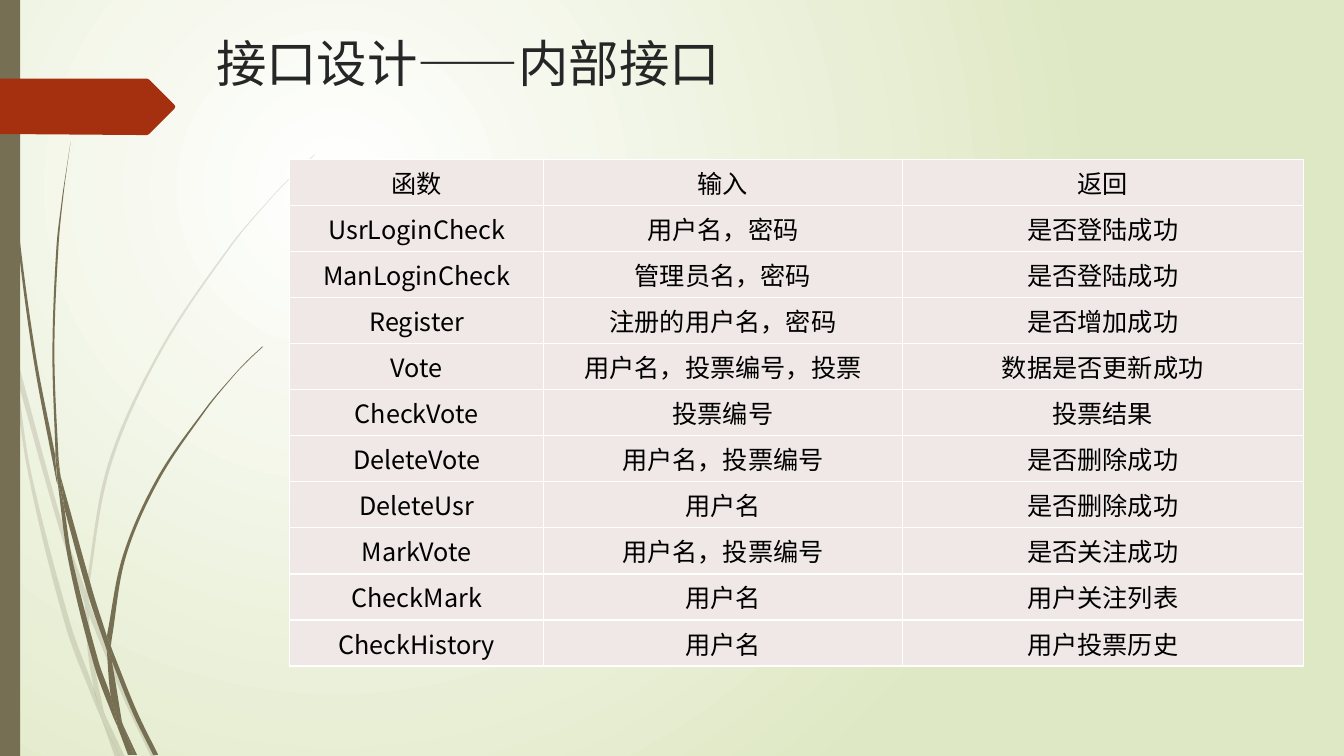
import math

from pptx import Presentation
from pptx.dml.color import RGBColor
from pptx.enum import shapes, text
from pptx.oxml import parse_xml
from pptx.oxml.ns import nsdecls, qn
from pptx.util import Pt

COLORS = {
    "glow": "FFFFFF", "edge": "DFE8C4", "grass": "766F54", "arrow": "A53010",
    "title": "262626", "cell": "F0E8E7", "border": "FFFFFF", "text": "000000",
}
HEAD_FONT, BODY_FONT = "League Spartan", "Noto Sans CJK SC"
SLIDE_W, SLIDE_H = 960, 540

# Outlines use a grid of 0.72 points. Each blade piece has two smooth edges.
GRID = 0.72
PALE_BLADES = [
    ([(11, 350), (9, 322), (0, 282)], [(0, 299), (10, 344)]),
    ([(17, 376), (58, 522), (84, 599)], [(85, 586), (62, 520), (14, 345)]),
    ([(88, 610), (123, 694), (150, 751)], [(155, 751), (127, 692), (92, 607), (88, 596)]),
    ([(105, 711), (119, 751)], [(124, 751)]),
    ([(11, 350), (28, 470), (65, 621), (92, 693), (101, 714)],
     [(99, 707), (93, 683), (70, 619), (31, 469), (17, 376)]),
    ([(84, 599), (87, 646), (93, 683), (96, 692), (105, 711)],
     [(103, 706), (91, 646), (88, 610), (88, 608)]),
    ([(88, 596), (88, 584), (110, 462), (160, 349), (229, 245), (268, 198), (290, 175),
      (312, 154)],
     [(312, 153), (289, 175), (268, 197), (228, 244), (158, 348), (107, 461), (85, 584),
      (85, 586)]),
    ([(101, 714), (114, 751)], [(119, 751)]),
    ([(85, 586), (84, 599)], [(88, 608), (88, 610), (88, 596)]),
    ([(93, 683), (99, 707), (101, 714), (119, 751)], [(105, 711), (96, 692)]),
]
DARK_BLADES = [
    ([(3, 0), (4, 48), (7, 110), (17, 233), (33, 355), (56, 477), (57, 481)],
     [(55, 457), (55, 453), (36, 355), (19, 232), (8, 109), (5, 48), (4, 0)]),
    ([(64, 505), (88, 592), (106, 645)], [(106, 633), (106, 631), (93, 590), (60, 472)]),
    ([(111, 656), (132, 708), (152, 749)], [(157, 749), (136, 706), (113, 649), (110, 641)]),
    ([(57, 477), (68, 557), (93, 659), (111, 708), (117, 722)],
     [(116, 717), (110, 691), (98, 657), (72, 556), (64, 505)]),
    ([(70, 141), (63, 193), (58, 245), (54, 349), (58, 453), (60, 472)],
     [(55, 449), (52, 349), (56, 245), (62, 193)]),
    ([(122, 719), (133, 749)], [(136, 749)]),
    ([(55, 449), (55, 453), (57, 477)], [(64, 505), (60, 472)]),
    ([(110, 641), (111, 633), (125, 552), (158, 476), (205, 406), (231, 374), (245, 359),
      (261, 344)],
     [(260, 344), (245, 358), (231, 373), (204, 405), (156, 474), (122, 551), (106, 631)]),
    ([(117, 722), (127, 749)], [(131, 749)]),
    ([(106, 645), (110, 691), (116, 706), (122, 719)], [(121, 716), (111, 656), (109, 651)]),
    ([(106, 631), (106, 645)], [(109, 651), (111, 656), (110, 641)]),
    ([(110, 691), (116, 717), (117, 722), (130, 749)], [(133, 749), (122, 719), (116, 706)]),
]
POINTER = [(173, 108), (148, 133), (146, 134), (136, 134), (0, 133), (0, 78), (136, 78),
           (146, 78), (148, 79), (173, 104), (174, 106)]

ROWS = [
    ("函数", "输入", "返回"),
    ("UsrLoginCheck", "用户名，密码", "是否登陆成功"),
    ("ManLoginCheck", "管理员名，密码", "是否登陆成功"),
    ("Register", "注册的用户名，密码", "是否增加成功"),
    ("Vote", "用户名，投票编号，投票", "数据是否更新成功"),
    ("CheckVote", "投票编号", "投票结果"),
    ("DeleteVote", "用户名，投票编号", "是否删除成功"),
    ("DeleteUsr", "用户名", "是否删除成功"),
    ("MarkVote", "用户名，投票编号", "是否关注成功"),
    ("CheckMark", "用户名", "用户关注列表"),
    ("CheckHistory", "用户名", "用户投票历史"),
]


def rgb(name):
    return RGBColor.from_string(COLORS[name])


def paint(sp, color, alpha=None):
    """Give a shape a flat fill, with no outline or shadow."""
    sp.shadow.inherit = False
    sp.fill.solid()
    sp.fill.fore_color.rgb = rgb(color)
    sp.line.fill.background()
    if alpha:
        clr = sp._element.spPr.find(".//" + qn("a:srgbClr"))
        clr.append(parse_xml(f'<a:alpha {nsdecls("a")} val="{alpha * 1000}"/>'))


def write(tf, content, size, color, font, east_asian=None, align=text.PP_ALIGN.LEFT):
    p = tf.paragraphs[0]
    p.alignment = align
    r = p.add_run()
    r.text = content
    r.font.size = Pt(size)
    r.font.name = font
    r.font.color.rgb = rgb(color)
    if east_asian:
        r.font._element.append(
            parse_xml(f'<a:ea {nsdecls("a")} typeface="{east_asian}"/>'))


def add_background(s):
    stops = "".join(
        f'<a:gs pos="{pos}"><a:srgbClr val="{COLORS[name]}"/></a:gs>'
        for pos, name in ((0, "glow"), (100000, "edge")))
    s._element.cSld.insert(0, parse_xml(
        f'<p:bg {nsdecls("p", "a")}><p:bgPr><a:gradFill rotWithShape="1">'
        f'<a:gsLst>{stops}</a:gsLst><a:path path="circle">'
        '<a:fillToRect l="50000" t="50000" r="100000" b="100000"/></a:path>'
        '</a:gradFill><a:effectLst/></p:bgPr></p:bg>'))


def add_outline(s, points):
    emu = [(Pt(x * GRID), Pt(y * GRID)) for x, y in points]
    builder = s.shapes.build_freeform(*emu[0])
    builder.add_line_segments(emu[1:], close=True)
    return builder.convert_to_shape()


def handle(start, end, before, after):
    """Control point a third of the way along, parallel to before-after."""
    reach = math.dist(start, end) / 3 / (math.dist(before, after) or 1)
    return tuple(round(p + (b - a) * reach) for p, a, b in zip(start, before, after))


def round_edges(sp, edges):
    """Turn the straight segments within each edge into curves."""
    nodes = list(sp._element.iter(qn("a:moveTo"), qn("a:lnTo")))
    places = [(int(n[0].get("x")), int(n[0].get("y"))) for n in nodes]
    first = 0
    for edge in edges:
        chain = places[first:first + len(edge)]
        ends = [chain[0], *chain, chain[-1]]
        for i, (a, b, c, d) in enumerate(zip(ends, ends[1:], ends[2:], ends[3:]), 1):
            controls = handle(b, c, a, c), handle(c, b, d, b), c
            pts = "".join(f'<a:pt x="{x}" y="{y}"/>' for x, y in controls)
            node = nodes[first + i]
            node.getparent().replace(node, parse_xml(
                f'<a:cubicBezTo {nsdecls("a")}>{pts}</a:cubicBezTo>'))
        first += len(edge)


def add_grass(s, blades, alpha=None):
    pieces = []
    for edges in blades:
        sp = add_outline(s, edges[0] + edges[1])
        round_edges(sp, edges)
        paint(sp, "grass", alpha)
        pieces.append(sp)
    s.shapes.add_group_shape(pieces)


def add_side_band(s, x, y, w, h):
    """Draw the bar at the edge and the red pointer that crosses it."""
    bar = s.shapes.add_shape(shapes.MSO_SHAPE.RECTANGLE, Pt(x), Pt(y), Pt(w), Pt(h))
    paint(bar, "grass")
    paint(add_outline(s, [(x / GRID + px, y / GRID + py) for px, py in POINTER]), "arrow")


def add_title(s, x, y, w, h):
    tf = s.shapes.add_textbox(Pt(x), Pt(y), Pt(w), Pt(h)).text_frame
    tf.word_wrap = True
    tf.vertical_anchor = text.MSO_ANCHOR.TOP
    write(tf, "接口设计——内部接口", 36, "title", HEAD_FONT)


def add_borders(cell):
    tcPr = cell._tc.get_or_add_tcPr()
    for i, side in enumerate(("lnL", "lnR", "lnT", "lnB")):
        tcPr.insert(i, parse_xml(
            f'<a:{side} {nsdecls("a")} w="12700"><a:solidFill>'
            f'<a:srgbClr val="{COLORS["border"]}"/></a:solidFill></a:{side}>'))


def add_interface_table(s, x, y, widths, h):
    table = s.shapes.add_table(
        len(ROWS), len(widths), Pt(x), Pt(y), Pt(sum(widths)), Pt(h)).table
    table.first_row = table.horz_banding = False
    for col, width in zip(table.columns, widths):
        col.width = Pt(width)
    for row, values in zip(table.rows, ROWS):
        row.height = Pt(h / len(ROWS))
        for cell, value in zip(row.cells, values):
            cell.fill.solid()
            cell.fill.fore_color.rgb = rgb("cell")
            cell.margin_left = cell.margin_right = Pt(5)
            cell.margin_top = cell.margin_bottom = 0
            cell.vertical_anchor = text.MSO_ANCHOR.MIDDLE
            write(cell.text_frame, value, 18, "text", BODY_FONT, BODY_FONT,
                  text.PP_ALIGN.CENTER)
            add_borders(cell)


def main():
    prs = Presentation()
    prs.slide_width, prs.slide_height = Pt(SLIDE_W), Pt(SLIDE_H)
    s = prs.slides.add_slide(prs.slide_layouts[6])
    add_background(s)
    add_grass(s, PALE_BLADES, alpha=20)
    add_grass(s, DARK_BLADES)
    add_side_band(s, 0, 0, 14.4, SLIDE_H)
    add_title(s, 147.2, 19.4, 641, 101)
    add_interface_table(s, 207, 114, (181.4, 256, 286.6), 362)
    prs.save("out.pptx")


if __name__ == "__main__":
    main()
